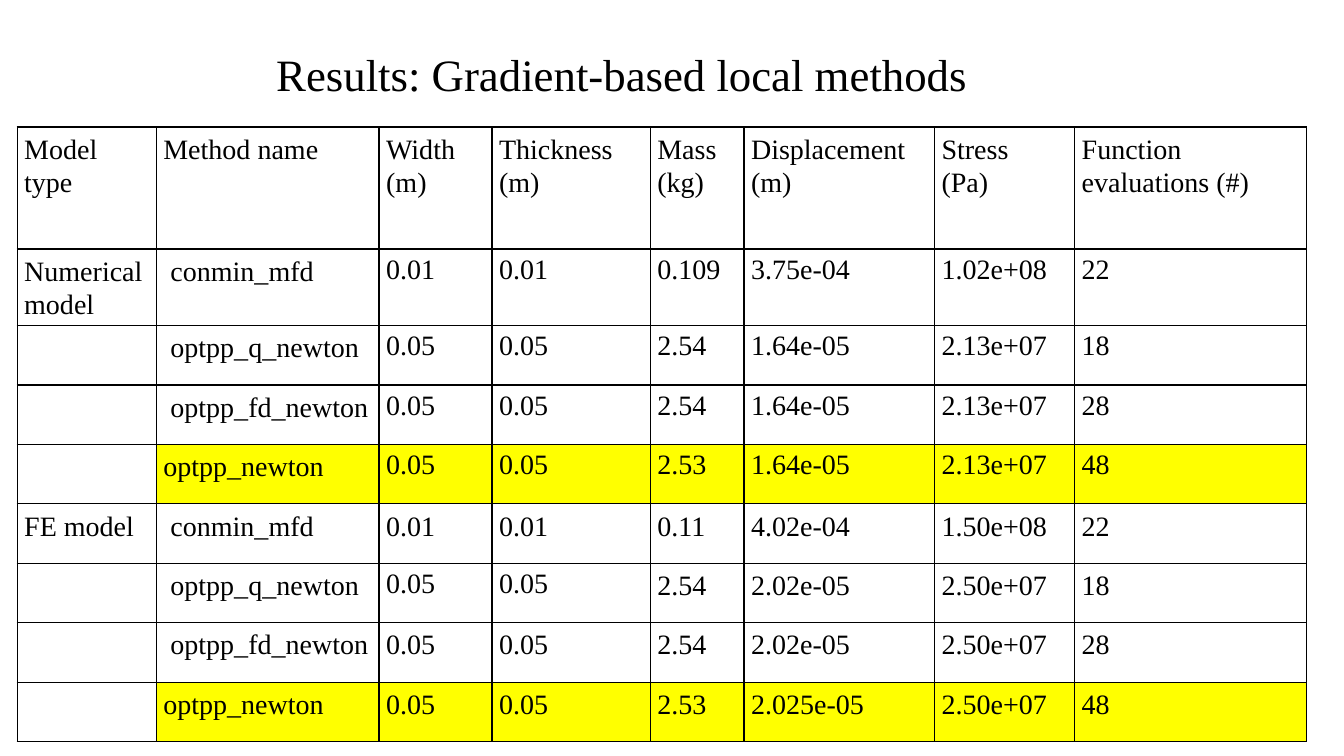
from dataclasses import dataclass

from lxml.etree import SubElement
from pptx import Presentation
from pptx.dml.color import RGBColor
from pptx.enum.text import MSO_ANCHOR
from pptx.oxml.ns import qn
from pptx.util import Inches, Pt


@dataclass(frozen=True)
class Theme:
    font: str = "Times New Roman"
    ink: str = "000000"
    paper: str = "FFFFFF"
    highlight: str = "FFFF00"
    title_size: float = 32
    table_size: float = 20
    border_width: float = 0.96


theme = Theme()


def style_text(text_frame, size, spacing):
    for para in text_frame.paragraphs:
        para.line_spacing = spacing
        for span in para.runs:
            span.font.name = theme.font
            span.font.size = Pt(size)
            span.font.color.rgb = RGBColor.from_string(theme.ink)


def add_borders(cell):
    properties = cell._tc.get_or_add_tcPr()
    for position, side in enumerate(("a:lnL", "a:lnR", "a:lnT", "a:lnB")):
        line = properties.makeelement(qn(side), {"w": str(Pt(theme.border_width))})
        properties.insert(position, line)
        fill = SubElement(line, qn("a:solidFill"))
        SubElement(fill, qn("a:srgbClr"), val=theme.ink)


column_widths = [1.38, 2.21, 1.12, 1.57, 0.93, 1.89, 1.39, 2.3]
row_heights = [1.21, 0.64] + [0.59] * 7
results = [
    ["Model type", "Method name", "Width\n(m)", "Thickness\n(m)", "Mass\n(kg)",
     "Displacement\n(m)", "Stress\n(Pa)", "Function evaluations (#)"],
    ["Numerical model", "conmin_mfd", "0.01", "0.01", "0.109", "3.75e-04", "1.02e+08", "22"],
    ["", "optpp_q_newton", "0.05", "0.05", "2.54", "1.64e-05", "2.13e+07", "18"],
    ["", "optpp_fd_newton", "0.05", "0.05", "2.54", "1.64e-05", "2.13e+07", "28"],
    ["", "optpp_newton", "0.05", "0.05", "2.53", "1.64e-05", "2.13e+07", "48"],
    ["FE model", "conmin_mfd", "0.01", "0.01", "0.11", "4.02e-04", "1.50e+08", "22"],
    ["", "optpp_q_newton", "0.05", "0.05", "2.54", "2.02e-05", "2.50e+07", "18"],
    ["", "optpp_fd_newton", "0.05", "0.05", "2.54", "2.02e-05", "2.50e+07", "28"],
    ["", "optpp_newton", "0.05", "0.05", "2.53", "2.025e-05", "2.50e+07", "48"],
]
method_fills = {"conmin_mfd": theme.paper, "optpp_newton": theme.highlight}
indented_methods = {"conmin_mfd", "optpp_q_newton", "optpp_fd_newton"}
single_spaced = {(row, column) for row in range(1, 5) for column in range(2, 8)}
single_spaced |= {(6, 2), (6, 3)}

deck = Presentation()
deck.slide_width = Inches(13.33)
deck.slide_height = Inches(7.5)
page = deck.slides.add_slide(deck.slide_layouts[6])

table = page.shapes.add_table(
    len(results), len(column_widths),
    Inches(0.17), Inches(1.26), Inches(12.79), Inches(6.15),
).table
table.first_row = False
table.horz_banding = False
for column, width in zip(table.columns, column_widths):
    column.width = Inches(width)
for row, height in zip(table.rows, row_heights):
    row.height = Inches(height)

for row_index, values in enumerate(results):
    method = values[1]
    for column_index, value in enumerate(values):
        cell = table.cell(row_index, column_index)
        cell.text_frame.text = value
        indented = column_index == 1 and method in indented_methods
        cell.margin_left = Inches(0.14 if indented else 0.07)
        cell.margin_right = Inches(0.07)
        cell.margin_top = cell.margin_bottom = Inches(0.05)
        if column_index > 0 and method in method_fills:
            cell.fill.solid()
            cell.fill.fore_color.rgb = RGBColor.from_string(method_fills[method])
        else:
            cell.fill.background()
        spacing = 1.0 if (row_index, column_index) in single_spaced else 1.07
        style_text(cell.text_frame, theme.table_size, spacing)
        add_borders(cell)

title_box = page.shapes.add_textbox(Inches(0.64), Inches(0.04), Inches(12.57), Inches(1.45))
title_frame = title_box.text_frame
title_frame.word_wrap = True
title_frame.vertical_anchor = MSO_ANCHOR.MIDDLE
title_frame.margin_left = Inches(2.1)
title_frame.text = "Results: Gradient-based local methods"
style_text(title_frame, theme.title_size, 0.9)

deck.save("out.pptx")
